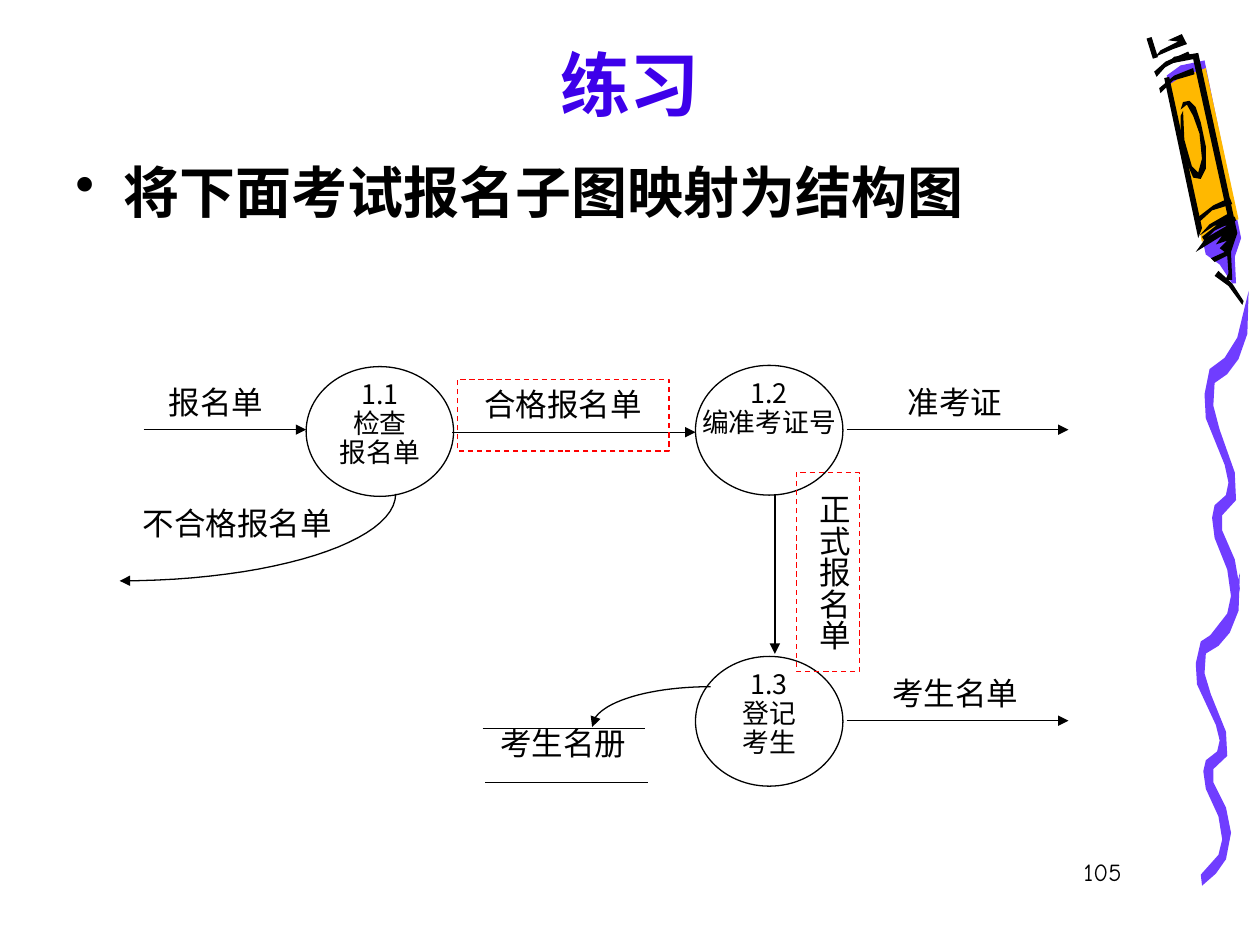
from lxml.etree import SubElement
from pptx import Presentation
from pptx.dml.color import RGBColor
from pptx.enum.dml import MSO_LINE
from pptx.enum.shapes import MSO_CONNECTOR, MSO_SHAPE
from pptx.enum.text import MSO_ANCHOR, PP_ALIGN
from pptx.oxml.ns import qn
from pptx.util import Inches, Pt

BLACK = RGBColor(0x00, 0x00, 0x00)
WHITE = RGBColor(0xFF, 0xFF, 0xFF)
BLUE = RGBColor(0x3D, 0x00, 0xEA)
PURPLE = RGBColor(0x70, 0x3D, 0xFF)
AMBER = RGBColor(0xFF, 0xB8, 0x00)
RED = RGBColor(0xFF, 0x00, 0x00)
LATIN_FONT = "Comic Neue"
CJK_FONT = "Noto Sans CJK SC"

# Wavy trail under the crayon, drawn at two heights
TRAIL = [
    (9.6, 5.05), (9.74, 4.87), (9.77, 4.73), (9.74, 4.52), (9.64, 4.27), (9.62, 4.11),
    (9.64, 4.01), (9.73, 3.93), (9.75, 3.83), (9.72, 3.69), (9.57, 3.32), (9.56, 3.13),
    (9.6, 2.93), (9.72, 2.84), (9.82, 2.68), (9.91, 2.31), (9.9, 2.65), (9.83, 2.85),
    (9.74, 2.97), (9.64, 3.04), (9.63, 3.22), (9.68, 3.41), (9.8, 3.75), (9.81, 3.97),
    (9.7, 4.09), (9.7, 4.21), (9.8, 4.44), (9.84, 4.67), (9.8, 4.91), (9.72, 5.04),
    (9.61, 5.15)]

# Crayon parts, from back to front
CRAYON = [
    # Body: white halo, purple shade, amber face
    (WHITE, [(9.5, 0.44), (9.3, 0.47), (9.19, 0.57), (9.49, 1.97), (9.62, 2.07),
             (9.72, 2.2), (9.76, 2.19), (9.75, 1.98), (9.79, 1.85)]),
    (PURPLE, [(9.26, 0.6), (9.57, 2.02), (9.68, 2.1), (9.78, 2.25), (9.81, 2.25),
              (9.8, 2.04), (9.85, 1.89), (9.56, 0.48), (9.37, 0.52)]),
    (AMBER, [(9.54, 1.92), (9.68, 1.79), (9.83, 1.74), (9.57, 0.54), (9.36, 0.62),
             (9.27, 0.68)]),
    # Tip and end strokes
    (BLACK, [(9.64, 2.19), (9.75, 2.27), (9.86, 2.42), (9.87, 2.39), (9.78, 2.25),
             (9.67, 2.15)]),
    (BLACK, [(9.17, 0.45), (9.31, 0.39), (9.42, 0.35), (9.38, 0.27), (9.27, 0.32),
             (9.35, 0.33), (9.21, 0.4)]),
    # Oval mark
    (BLACK, [(9.37, 0.92), (9.37, 1.06), (9.41, 1.27), (9.47, 1.41), (9.53, 1.42),
             (9.57, 1.34), (9.57, 1.16), (9.53, 0.97), (9.49, 0.85), (9.44, 0.8),
             (9.39, 0.81), (9.37, 0.87), (9.42, 0.83), (9.47, 0.92), (9.52, 1.06),
             (9.54, 1.26), (9.51, 1.37), (9.46, 1.32), (9.4, 1.11), (9.39, 0.88)]),
    # Left edge, then right edge with the shaded tip
    (BLACK, [(9.24, 0.62), (9.51, 1.89), (9.54, 1.81), (9.28, 0.61)]),
    (BLACK, [(9.49, 2), (9.57, 1.89), (9.74, 1.79), (9.64, 1.79), (9.52, 1.87),
             (9.6, 1.78), (9.74, 1.7), (9.47, 0.47), (9.31, 0.5), (9.2, 0.56),
             (9.32, 0.45), (9.51, 0.42), (9.82, 1.85), (9.77, 2), (9.78, 2.22),
             (9.72, 2.23), (9.75, 2.17), (9.74, 2.03), (9.64, 2.08), (9.61, 2.05),
             (9.72, 2), (9.68, 1.97), (9.74, 1.91), (9.65, 1.94), (9.7, 1.87)]),
    # Bands
    (BLACK, [(9.56, 1.91), (9.64, 1.83), (9.81, 1.75), (9.8, 1.72), (9.69, 1.76),
             (9.54, 1.88)]),
    (BLACK, [(9.51, 1.77), (9.62, 1.67), (9.78, 1.62), (9.76, 1.57), (9.63, 1.63),
             (9.5, 1.73)]),
    (BLACK, [(9.21, 0.74), (9.31, 0.64), (9.48, 0.59), (9.47, 0.54), (9.32, 0.6),
             (9.2, 0.7)]),
    (BLACK, [(9.18, 0.61), (9.26, 0.52), (9.45, 0.45), (9.43, 0.41), (9.25, 0.49),
             (9.16, 0.57)]),
]


def style_line(shape, color=BLACK, width=0.75, arrow=False):
    shape.line.color.rgb = color
    shape.line.width = Pt(width)
    if arrow:
        SubElement(shape.line._get_or_add_ln(), qn("a:tailEnd"), type="triangle")


def add_outline(page, points, close):
    corners = [(Inches(x), Inches(y)) for x, y in points]
    builder = page.shapes.build_freeform(*corners[0])
    builder.add_line_segments(corners[1:], close=close)
    shape = builder.convert_to_shape()
    shape.shadow.inherit = False
    return shape


def add_patch(page, color, points):
    patch = add_outline(page, points, True)
    patch.fill.solid()
    patch.fill.fore_color.rgb = color
    patch.line.fill.background()


def add_curve_arrow(page, controls, steps=24):
    points = []
    for step in range(steps + 1):
        t = step / steps
        weights = ((1 - t) ** 3, 3 * t * (1 - t) ** 2, 3 * t * t * (1 - t), t ** 3)
        points.append([sum(w * c for w, c in zip(weights, axis)) for axis in zip(*controls)])
    curve = add_outline(page, points, False)
    curve.fill.background()
    style_line(curve, arrow=True)


def add_line(page, start, end, width=0.75, arrow=False):
    ends = [Inches(value) for value in (*start, *end)]
    line = page.shapes.add_connector(MSO_CONNECTOR.STRAIGHT, *ends)
    style_line(line, width=width, arrow=arrow)
    SubElement(line._element.spPr, qn("a:effectLst"))


def write_text(box, lines, size=18, color=BLACK, bold=False, align=PP_ALIGN.CENTER,
               font=CJK_FONT, spacing=None, bullet=None):
    frame = box.text_frame
    frame.word_wrap = True
    frame.vertical_anchor = MSO_ANCHOR.TOP
    frame.text = "\n".join(lines)
    for para in frame.paragraphs:
        para.alignment = align
        if spacing:
            para.line_spacing = spacing
        if bullet:
            props = para._p.get_or_add_pPr()
            props.set("marL", str(Inches(0.38)))
            props.set("indent", str(-Inches(0.38)))
            SubElement(props, qn("a:buChar"), char=bullet)
        para.font.size = Pt(size)
        para.font.bold = bold
        para.font.color.rgb = color
        para.font.name = font
        SubElement(para.font._element, qn("a:ea"), typeface=CJK_FONT)
    return frame


def add_text(page, place, lines, **style):
    box = page.shapes.add_textbox(*[Inches(value) for value in place])
    return write_text(box, lines, **style)


def add_hollow(page, kind, place, color=BLACK):
    shape = page.shapes.add_shape(kind, *[Inches(value) for value in place])
    shape.shadow.inherit = False
    shape.fill.background()
    style_line(shape, color)
    return shape


def add_process(page, left, top, lines):
    add_hollow(page, MSO_SHAPE.OVAL, (left, top, 1.17, 1.03))
    add_text(page, (left - 0.09, top + 0.07, 1.35, 0.95), lines, size=15.3, spacing=0.9)


def add_marked_flow(page, place, label, **style):
    box = add_hollow(page, MSO_SHAPE.RECTANGLE, place, RED)
    box.line.dash_style = MSO_LINE.DASH
    return write_text(box, [label], **style)


def add_crayon(page):
    add_patch(page, PURPLE, [(x - 0.07, 4.55 + (y - 2.31) * 0.873) for x, y in TRAIL])
    add_patch(page, PURPLE, TRAIL)
    for color, points in CRAYON:
        add_patch(page, color, points)
    add_line(page, (9.12, 0.3), (9.17, 0.46), width=3)


def main():
    deck = Presentation()
    deck.slide_width, deck.slide_height = Inches(10), Inches(7.5)
    page = deck.slides.add_slide(deck.slide_layouts[6])
    add_crayon(page)

    # Title, task and page number
    title = add_text(page, (0.5, 0.17, 9, 0.83), ["练习"], size=40, color=BLUE,
                     bold=True, font=LATIN_FONT)
    title.vertical_anchor = MSO_ANCHOR.BOTTOM
    task = add_text(page, (0.5, 1.25, 8.67, 1.25), ["将下面考试报名子图映射为结构图"], size=32,
                    bold=True, align=PP_ALIGN.LEFT, font=LATIN_FONT, bullet="•")
    for frame in (title, task):
        frame.margin_top = frame.margin_bottom = 0
    add_text(page, (6.92, 6.75, 2.08, 0.5), ["105"], size=14, align=PP_ALIGN.RIGHT,
             font=LATIN_FONT)

    # Processes
    add_process(page, 2.43, 2.91, ["1.1", "检查", "报名单"])
    add_process(page, 5.52, 2.9, ["1.2", "编准考证号"])
    add_process(page, 5.52, 5.21, ["1.3", "登记", "考生"])

    # Data flows
    for start, end in [((1.14, 3.41), (2.43, 3.41)), ((3.59, 3.43), (5.52, 3.43)),
                       ((6.72, 3.41), (8.48, 3.41)), ((6.15, 3.92), (6.15, 5.19)),
                       ((6.72, 5.72), (8.48, 5.72))]:
        add_line(page, start, end, arrow=True)
    add_curve_arrow(page, [(3.14, 3.92), (3.14, 4.3), (2.16, 4.61), (0.95, 4.61)])
    add_curve_arrow(page, [(5.64, 5.45), (5.12, 5.45), (4.7, 5.59), (4.7, 5.77)])
    for left, top, width, label in [(1.06, 2.99, 1.31, "报名单"), (0.9, 3.95, 1.97, "不合格报名单"),
                                    (6.74, 2.99, 1.68, "准考证"), (6.74, 5.3, 1.68, "考生名单")]:
        add_text(page, (left, top, width, 0.56), [label])

    # Flows marked in red
    add_marked_flow(page, (3.63, 3.01, 1.68, 0.57), "合格报名单")
    upright = add_marked_flow(page, (6.32, 3.75, 0.5, 1.58), "正式报名单", align=PP_ALIGN.LEFT)
    upright._txBody.bodyPr.set("vert", "eaVert")
    upright.margin_left = upright.margin_right = Inches(0.05)
    upright.margin_top, upright.margin_bottom = Inches(0.17), Inches(0.1)

    # Data store
    add_line(page, (3.83, 5.78), (5.12, 5.78))
    add_line(page, (3.85, 6.21), (5.14, 6.21))
    add_text(page, (3.81, 5.7, 1.32, 0.55), ["考生名册"])

    deck.save("out.pptx")


if __name__ == "__main__":
    main()
